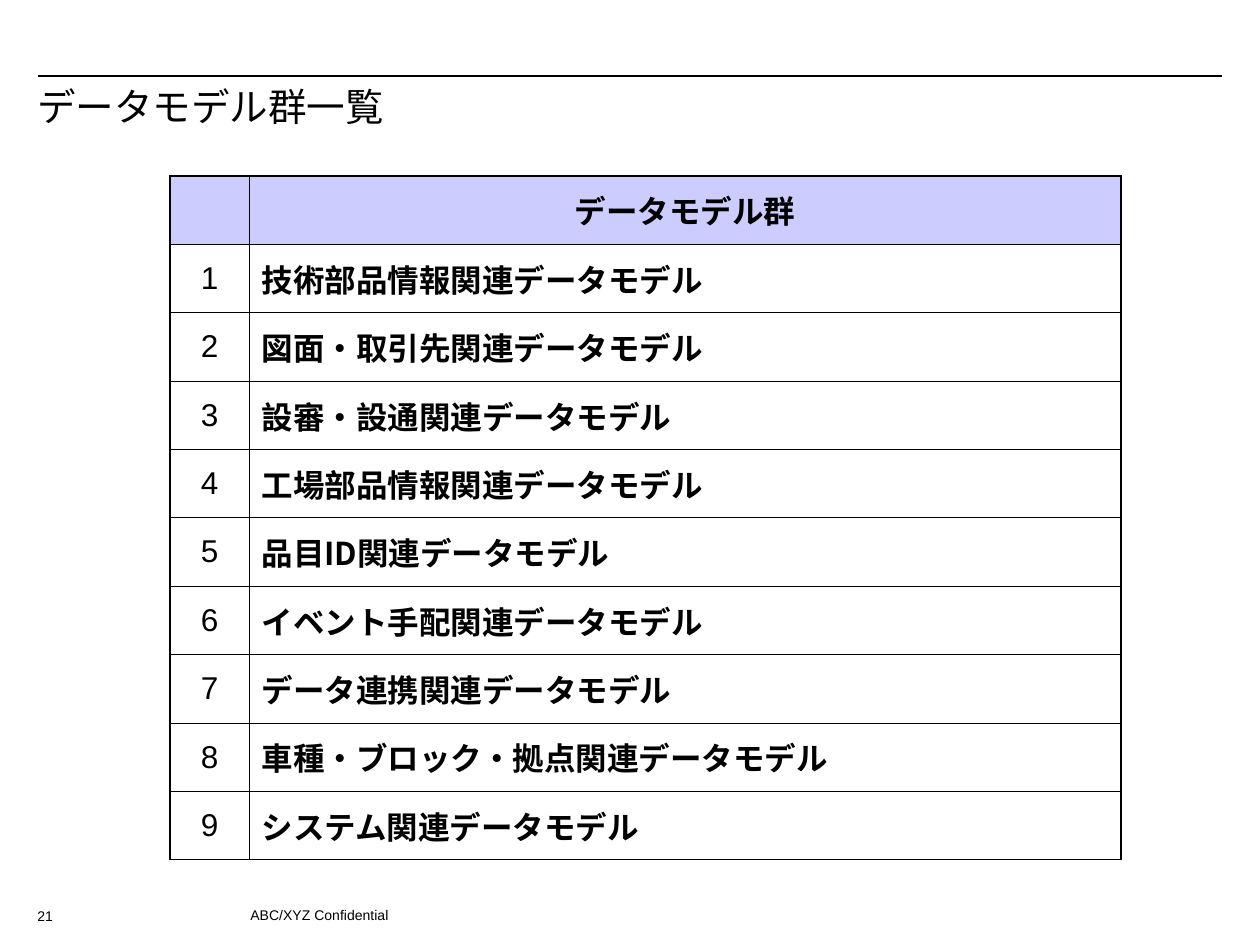
from lxml import etree
from pptx import Presentation
from pptx import util as u
from pptx.dml.color import RGBColor
from pptx.enum import shapes, text
from pptx.oxml.ns import qn

TITLE = "データモデル群一覧"
HEADER = "データモデル群"
MODELS = [
    "技術部品情報関連データモデル",
    "図面・取引先関連データモデル",
    "設審・設通関連データモデル",
    "工場部品情報関連データモデル",
    "品目ID関連データモデル",
    "イベント手配関連データモデル",
    "データ連携関連データモデル",
    "車種・ブロック・拠点関連データモデル",
    "システム関連データモデル",
]
FOOTERS = [
    ("ABC/XYZ Confidential", (238, 900, 819, 25)),
    ("21", (25, 901, 50, 25)),
]

BLACK = RGBColor(0x00, 0x00, 0x00)
LAVENDER = RGBColor(0xCC, 0xCC, 0xFF)
LATIN, JAPANESE = "Arial", "Noto Sans CJK JP"
THICK, THIN = 1.08, 0.45
TABLE_LEFT, TABLE_TOP, TABLE_HEIGHT = 170, 176, 684
COLUMNS = (79, 872)


def px(count):
    return u.Emu(round(count * 914400 / 126))


def write(frame, words, size, font=LATIN, bold=False, align=text.PP_ALIGN.LEFT,
          anchor=text.MSO_ANCHOR.TOP, spacing=None):
    frame.word_wrap = True
    frame.vertical_anchor = anchor
    para = frame.paragraphs[0]
    para.alignment = align
    para.line_spacing = spacing
    span = para.add_run()
    span.text = words
    span.font.size = u.Pt(size)
    span.font.name = font
    span.font.bold = bold
    span.font.color.rgb = BLACK
    east_asian = etree.SubElement(span.font._element, qn("a:ea"))
    east_asian.set("typeface", JAPANESE)


def set_borders(cell, **widths):
    """Draw borders, given in points by side: L, R, T, B."""
    properties = cell._tc.get_or_add_tcPr()
    for index, (side, width) in enumerate(widths.items()):
        line = etree.Element(qn(f"a:ln{side}"), w=str(u.Pt(width)))
        fill = etree.SubElement(line, qn("a:solidFill"))
        etree.SubElement(fill, qn("a:srgbClr"), val=str(BLACK))
        properties.insert(index, line)


def add_rule(page):
    rule = page.shapes.add_connector(
        shapes.MSO_CONNECTOR.STRAIGHT, px(38), px(76), px(1222), px(76))
    rule.line.color.rgb = BLACK
    rule.line.width = u.Pt(0.75)
    etree.SubElement(rule._element.spPr, qn("a:effectLst"))


def add_title(page):
    title = page.shapes.title
    title.left, title.top, title.width, title.height = map(px, (25, 82, 1216, 102))
    write(title.text_frame, TITLE, 22, spacing=0.9)


def add_model_table(page):
    rows = [("", HEADER)] + [(str(i), name) for i, name in enumerate(MODELS, 1)]
    last = len(rows) - 1
    table = page.shapes.add_table(
        len(rows), len(COLUMNS), px(TABLE_LEFT), px(TABLE_TOP),
        px(sum(COLUMNS)), px(TABLE_HEIGHT)).table
    for column, width in zip(table.columns, COLUMNS):
        column.width = px(width)
    for r, row in enumerate(rows):
        table.rows[r].height = px(TABLE_HEIGHT / len(rows))
        for c, words in enumerate(row):
            cell = table.cell(r, c)
            if r == 0:
                cell.fill.solid()
                cell.fill.fore_color.rgb = LAVENDER
            else:
                cell.fill.background()
            set_borders(cell, L=THIN if c else THICK, R=THICK if c else THIN,
                        T=THIN if r else THICK, B=THICK if r == last else THIN)
            cell.vertical_anchor = text.MSO_ANCHOR.MIDDLE
            if words:
                is_name = r > 0 and c == 1
                write(cell.text_frame, words, 18,
                      font=JAPANESE if is_name else LATIN, bold=c == 1,
                      align=text.PP_ALIGN.LEFT if is_name else text.PP_ALIGN.CENTER,
                      anchor=text.MSO_ANCHOR.MIDDLE)


def main():
    deck = Presentation()
    deck.slide_width, deck.slide_height = px(1260), px(945)
    page = deck.slides.add_slide(deck.slide_layouts[5])
    add_rule(page)
    add_title(page)
    add_model_table(page)
    for words, place in FOOTERS:
        box = page.shapes.add_textbox(*map(px, place))
        write(box.text_frame, words, 8)
    deck.save("out.pptx")


if __name__ == "__main__":
    main()
